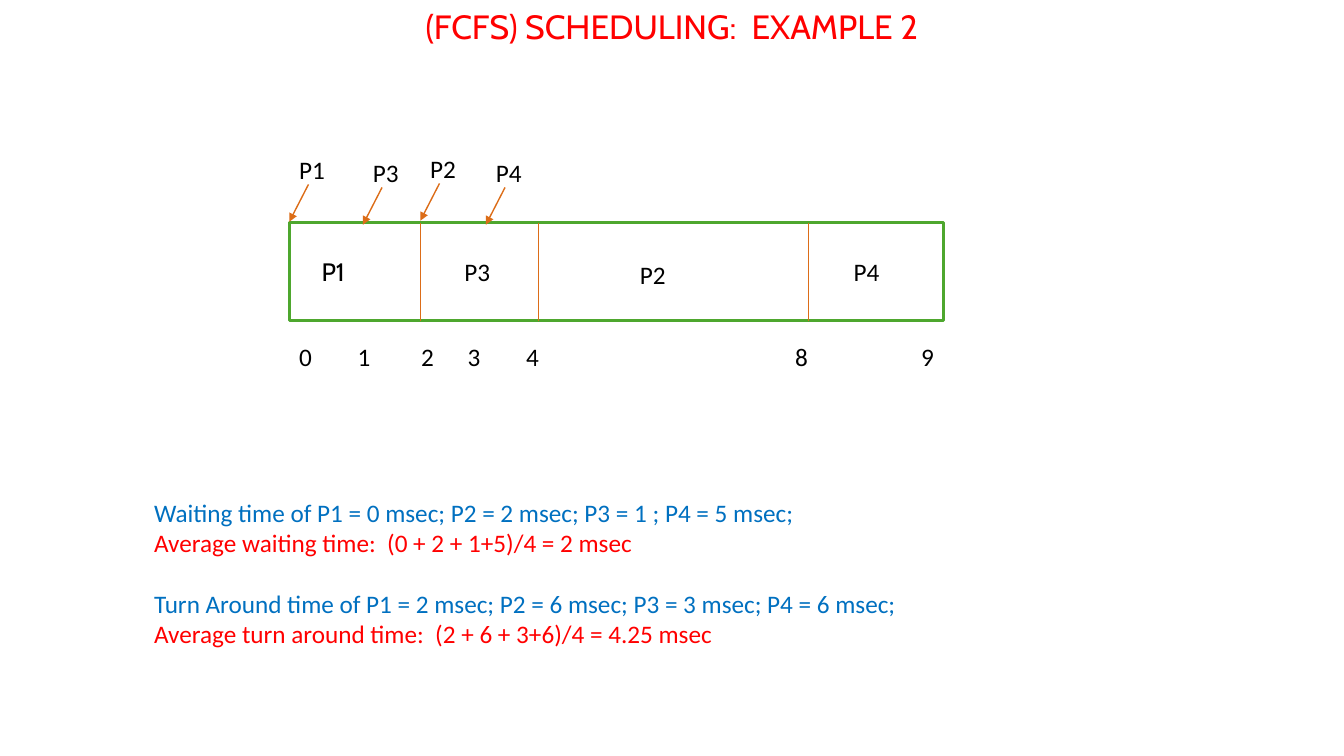
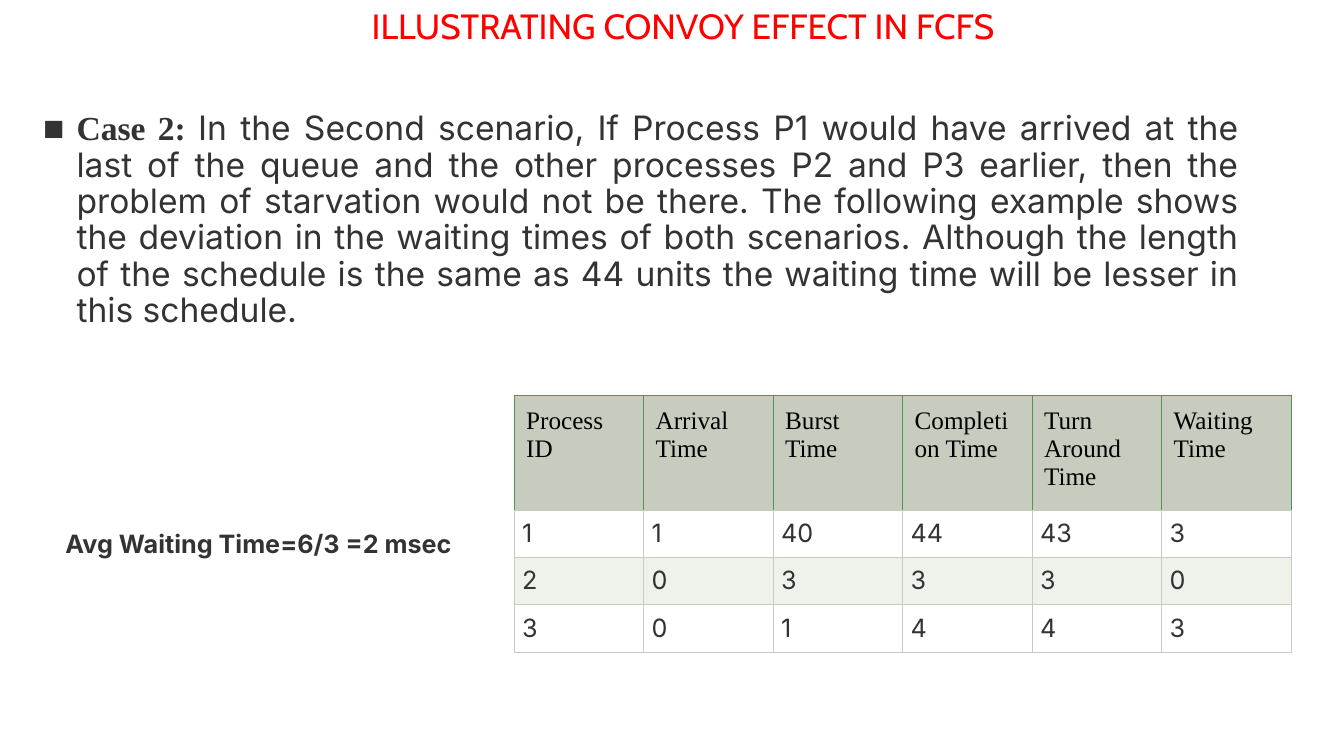
"""Build two slides on first-come, first-served scheduling."""
from dataclasses import dataclass
from typing import Any

from lxml import etree
from pptx import Presentation
from pptx.dml.color import RGBColor
from pptx.enum.shapes import MSO_CONNECTOR, MSO_SHAPE
from pptx.enum.text import MSO_ANCHOR, MSO_AUTO_SIZE, PP_ALIGN
from pptx.oxml.ns import qn
from pptx.util import Inches, Pt

GRID = Inches(0.1)
SLIDE_COLUMNS, SLIDE_ROWS = 133.33, 75
CONTENT_LAYOUT, TITLE_ONLY_LAYOUT = 1, 5

RECTANGLE = MSO_SHAPE.RECTANGLE
STRAIGHT = MSO_CONNECTOR.STRAIGHT
CENTER, JUSTIFY = PP_ALIGN.CENTER, PP_ALIGN.JUSTIFY
LEFT = PP_ALIGN.LEFT
TOP, MIDDLE, BOTTOM = MSO_ANCHOR.TOP, MSO_ANCHOR.MIDDLE, MSO_ANCHOR.BOTTOM
NO_FIT = MSO_AUTO_SIZE.NONE

RED, BLUE, BLACK, WHITE = "FF0000", "0070C0", "000000", "FFFFFF"
CHARCOAL, GREEN, ORANGE = "333333", "4EA72E", "DC6D18"
SAGE, PALE_SAGE, LEAF = "C7CCBE", "EFF1EB", "50945B"

LABEL_FONT = {"name": "Calibri", "size": Pt(18), "bold": False}
BAR_FONT = {"name": "Cabin", "size": Pt(18), "bold": False}
CASE_FONT = {"name": "Times New Roman", "size": Pt(24), "bold": True}
BODY_FONT = {"name": "Inter", "size": Pt(24), "bold": False}
AVERAGE_FONT = {"name": "Inter", "size": Pt(18), "bold": True}
HEADER_FONT = {"name": "Times New Roman", "size": Pt(18), "bold": False}
VALUE_FONT = {"name": "Inter", "size": Pt(18), "bold": False}


@dataclass(frozen=True)
class Box:
    """A rectangle in grid columns and rows."""
    left: float
    top: float
    width: float
    height: float


@dataclass(frozen=True)
class Line:
    """One paragraph of a text box."""
    text: str
    color: str = BLACK
    space_before: float = 0


@dataclass(frozen=True)
class ProcessLabel:
    """A process name and the corner of its label."""
    name: str
    left: float
    top: float


@dataclass(frozen=True)
class TimeMark:
    """A time and its distance from the start of the axis."""
    time: str
    offset: float


@dataclass(frozen=True)
class RowStyle:
    """The look of one table row."""
    font: dict[str, Any]
    color: str
    fill: str
    side: str
    top: str
    margin: float
    align: Any


ARRIVALS = [
    ProcessLabel("P1", 28.7, 14.8), ProcessLabel("P3", 36, 15.1),
    ProcessLabel("P2", 41.7, 14.7), ProcessLabel("P4", 48.2, 15.1),
]
BAR = Box(28.7, 22.1, 64.9, 9.7)
BAR_LABELS = [
    ProcessLabel("P3", 45.1, 24.9), ProcessLabel("P2", 62.5, 25.2),
    ProcessLabel("P4", 83.7, 24.9),
]
DIVIDERS = [41.7, 53.4, 80.2]
TIME_MARKS = [
    TimeMark("0", 0), TimeMark("1", 5.8), TimeMark("2", 12.1),
    TimeMark("3", 16.7), TimeMark("4", 22.5), TimeMark("8", 49.2),
    TimeMark("9", 61.7),
]
RESULTS = [
    Line("Waiting time of P1 = 0 msec; P2 = 2 msec; P3 = 1 ; P4 = 5 msec;", BLUE),
    Line("Average waiting time:  (0 + 2 + 1+5)/4 = 2 msec", RED),
    Line("Turn Around time of P1 = 2 msec; P2 = 6 msec; P3 = 3 msec; P4 = 6 msec;",
         BLUE, 22),
    Line("Average turn around time:  (2 + 6 + 3+6)/4 = 4.25 msec", RED),
]
CASE_TEXT = (
    "In the Second scenario, If Process P1 would have arrived at the last of the "
    "queue and the other processes P2 and P3 earlier, then the problem of starvation "
    "would not be there. The following example shows the deviation in the waiting "
    "times of both scenarios. Although the length of the schedule is the same as 44 "
    "units the waiting time will be lesser in this schedule."
)
TABLE_ROWS = [
    ["Process ID", "Arrival Time", "Burst Time", "Completion Time",
     "Turn Around Time", "Waiting Time"],
    ["1", "1", "40", "44", "43", "3"],
    ["2", "0", "3", "3", "3", "0"],
    ["3", "0", "1", "4", "4", "3"],
]
TABLE_BOX = Box(51, 39.2, 77.1, 25.5)
HEADER_HEIGHT = 11.4
HEADER_STYLE = RowStyle(HEADER_FONT, BLACK, SAGE, LEAF, LEAF, 1.2, LEFT)
PLAIN_STYLE = RowStyle(VALUE_FONT, CHARCOAL, WHITE, SAGE, SAGE, 0.8, JUSTIFY)
BAND_STYLE = RowStyle(VALUE_FONT, CHARCOAL, PALE_SAGE, SAGE, SAGE, 0.8, JUSTIFY)


def rgb(color: str) -> RGBColor:
    """Turn a hex string into a colour."""
    return RGBColor.from_string(color)


def grid(cells: float) -> int:
    """Turn grid cells into slide units."""
    return int(cells * GRID)


def frame(box: Box) -> tuple[int, int, int, int]:
    """Give a box in slide units."""
    return grid(box.left), grid(box.top), grid(box.width), grid(box.height)


def apply(target: Any, values: dict[str, Any]) -> None:
    """Set each named attribute on the target."""
    for name, value in values.items():
        setattr(target, name, value)


def add_run(paragraph: Any, text: str, font: dict[str, Any], color: str) -> None:
    """Append formatted text to a paragraph."""
    run = paragraph.add_run()
    run.text = text
    apply(run.font, font)
    run.font.color.rgb = rgb(color)


def place(placeholder: Any, box: Box, anchor: Any) -> Any:
    """Move a placeholder and return its first paragraph."""
    apply(placeholder, dict(zip(("left", "top", "width", "height"), frame(box))))
    apply(placeholder.text_frame,
          {"word_wrap": True, "auto_size": NO_FIT, "vertical_anchor": anchor})
    paragraph = placeholder.text_frame.paragraphs[0]
    apply(paragraph, {"line_spacing": 0.9, "space_before": Pt(0)})
    return paragraph


def set_title(slide: Any, text: str, box: Box, size: float) -> None:
    """Write the red slide title."""
    paragraph = place(slide.shapes.title, box, BOTTOM)
    paragraph.alignment = CENTER
    add_run(paragraph, text, {"name": "Cabin", "size": Pt(size), "bold": False}, RED)


def add_text(slide: Any, box: Box, lines: list[Line],
             font: dict[str, Any] = LABEL_FONT) -> Any:
    """Add a text box with one paragraph for each line."""
    text_frame = slide.shapes.add_textbox(*frame(box)).text_frame
    text_frame.word_wrap = True
    for index, line in enumerate(lines):
        paragraph = text_frame.add_paragraph() if index else text_frame.paragraphs[0]
        if line.space_before:
            paragraph.space_before = Pt(line.space_before)
        add_run(paragraph, line.text, font, line.color)
    return text_frame


def add_line(slide: Any, start: tuple[float, float], end: tuple[float, float],
             arrow: bool = False) -> None:
    """Draw a thin orange line, with an arrowhead if asked."""
    connector = slide.shapes.add_connector(STRAIGHT, *map(grid, start + end))
    connector.line.width = Pt(1)
    connector.line.color.rgb = rgb(ORANGE)
    properties = connector._element.spPr
    if arrow:
        etree.SubElement(properties.find(qn("a:ln")), qn("a:tailEnd"), type="triangle")
    etree.SubElement(properties, qn("a:effectLst"))


def add_bar(slide: Any) -> None:
    """Draw the schedule bar with its first process and dividers."""
    shape = slide.shapes.add_shape(RECTANGLE, *frame(BAR))
    shape.shadow.inherit = False
    shape.fill.solid()
    shape.fill.fore_color.rgb = rgb(WHITE)
    shape.line.color.rgb = rgb(GREEN)
    shape.line.width = Pt(1.75)
    apply(shape.text_frame, {"vertical_anchor": MIDDLE, "margin_left": grid(3.2)})
    paragraph = shape.text_frame.paragraphs[0]
    paragraph.alignment = LEFT
    add_run(paragraph, "P1", BAR_FONT, BLACK)
    for column in DIVIDERS:
        add_line(slide, (column, BAR.top), (column, BAR.top + BAR.height))


def add_time_axis(slide: Any) -> None:
    """Write the times below the bar at tab stops."""
    text = "\t".join(mark.time for mark in TIME_MARKS)
    text_frame = add_text(slide, Box(BAR.left, 33.4, 66.2, 4), [Line(text)])
    properties = text_frame.paragraphs[0]._p.get_or_add_pPr()
    tabs = etree.SubElement(properties, qn("a:tabLst"))
    for mark in TIME_MARKS[1:]:
        etree.SubElement(tabs, qn("a:tab"), pos=str(grid(mark.offset)), algn="l")


def style_cell(cell: Any, text: str, style: RowStyle) -> None:
    """Fill, border and write one table cell."""
    sides = ("left", "right", "top", "bottom")
    apply(cell, {f"margin_{side}": grid(style.margin) for side in sides})
    cell.fill.solid()
    cell.fill.fore_color.rgb = rgb(style.fill)
    paragraph = cell.text_frame.paragraphs[0]
    paragraph.alignment = style.align
    add_run(paragraph, text, style.font, style.color)
    properties = cell._tc.get_or_add_tcPr()
    borders = {"lnL": style.side, "lnR": style.side, "lnT": style.top, "lnB": SAGE}
    for index, (tag, color) in enumerate(borders.items()):
        border = etree.Element(qn(f"a:{tag}"), w=str(Pt(0.75)))
        fill = etree.SubElement(border, qn("a:solidFill"))
        etree.SubElement(fill, qn("a:srgbClr"), val=color)
        properties.insert(index, border)


def add_process_table(slide: Any) -> None:
    """Add the table of process times."""
    row_count, column_count = len(TABLE_ROWS), len(TABLE_ROWS[0])
    table = slide.shapes.add_table(row_count, column_count, *frame(TABLE_BOX)).table
    apply(table, {"first_row": False, "horz_banding": False})
    value_height = (TABLE_BOX.height - HEADER_HEIGHT) / (row_count - 1)
    for column in table.columns:
        column.width = grid(TABLE_BOX.width / column_count)
    styles = [HEADER_STYLE, PLAIN_STYLE, BAND_STYLE, PLAIN_STYLE]
    for index, (texts, style) in enumerate(zip(TABLE_ROWS, styles)):
        table.rows[index].height = grid(value_height if index else HEADER_HEIGHT)
        for cell, text in zip(table.rows[index].cells, texts):
            style_cell(cell, text, style)


def build_example_slide(presentation: Any) -> None:
    """Build the schedule example."""
    slide = presentation.slides.add_slide(presentation.slide_layouts[TITLE_ONLY_LAYOUT])
    set_title(slide, "(FCFS) SCHEDULING:  EXAMPLE 2", Box(23.3, 0.1, 86.7, 5), 24)
    add_bar(slide)
    add_time_axis(slide)
    for label in ARRIVALS:
        add_text(slide, Box(label.left, label.top, 10, 4), [Line(label.name)])
        add_line(slide, (label.left + 1.9, label.top + 3.5),
                 (label.left, label.top + 7.2), arrow=True)
    for label in BAR_LABELS:
        add_text(slide, Box(label.left, label.top, 13.3, 4), [Line(label.name)])
    add_text(slide, Box(14.3, 48.8, 108.1, 19.2), RESULTS)


def build_convoy_slide(presentation: Any) -> None:
    """Build the convoy effect case."""
    slide = presentation.slides.add_slide(presentation.slide_layouts[CONTENT_LAYOUT])
    set_title(slide, "ILLUSTRATING CONVOY EFFECT IN FCFS", Box(34.4, 0, 66.7, 5.2), 25)
    paragraph = place(slide.placeholders[1], Box(3.3, 10.6, 120.6, 24), TOP)
    paragraph.alignment = JUSTIFY
    properties = paragraph._p.get_or_add_pPr()
    properties.set("marL", str(grid(3.3)))
    properties.set("indent", str(-grid(3.3)))
    etree.SubElement(properties, qn("a:buChar"), char="◼")
    add_run(paragraph, "Case 2: ", CASE_FONT, CHARCOAL)
    add_run(paragraph, CASE_TEXT, BODY_FONT, CHARCOAL)
    add_text(slide, Box(5.5, 51.9, 45, 4),
             [Line("Avg Waiting Time=6/3 =2 msec", CHARCOAL)], AVERAGE_FONT)
    add_process_table(slide)


def main() -> None:
    """Build and save the presentation."""
    presentation = Presentation()
    presentation.slide_width = grid(SLIDE_COLUMNS)
    presentation.slide_height = grid(SLIDE_ROWS)
    build_example_slide(presentation)
    build_convoy_slide(presentation)
    presentation.save("out.pptx")


if __name__ == "__main__":
    main()
